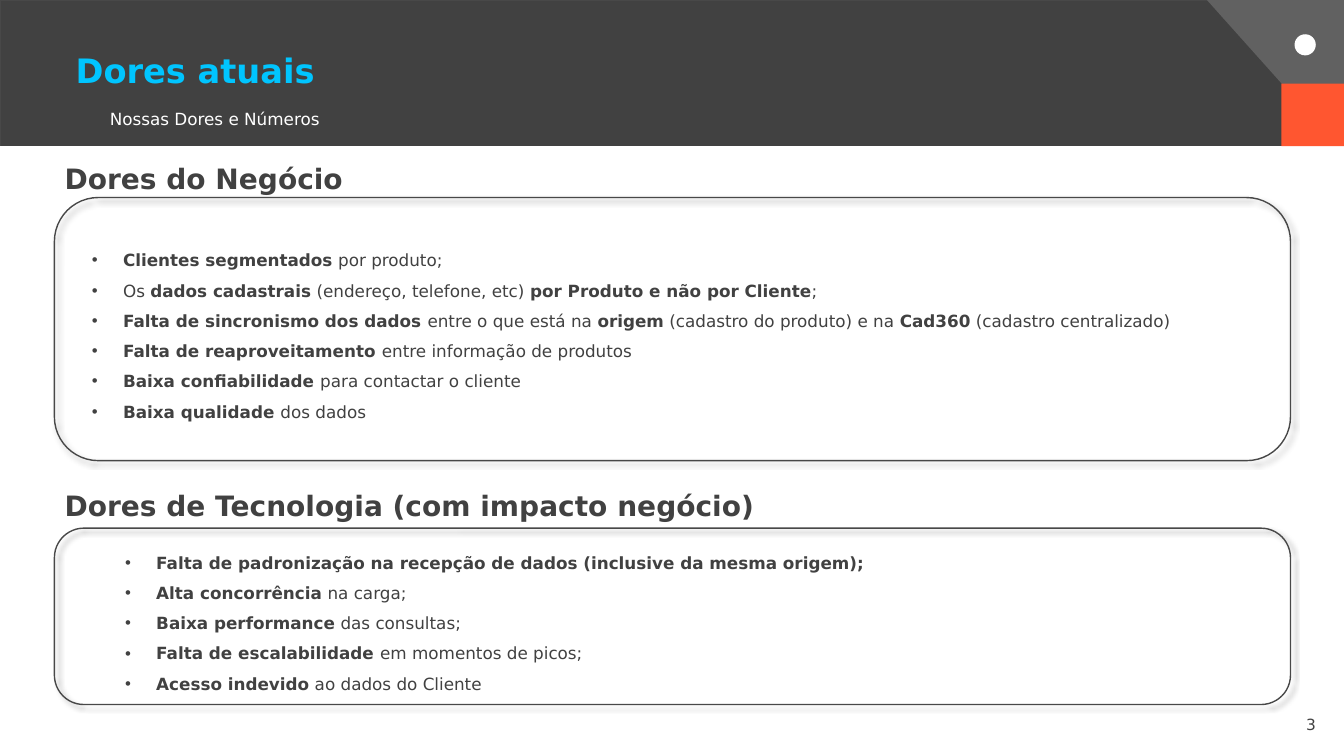
from dataclasses import dataclass

from lxml import etree
from pptx import Presentation
from pptx import util as u
from pptx.dml.color import RGBColor
from pptx.enum import shapes, text
from pptx.oxml.ns import qn

WIDTH, HEIGHT = u.Inches(13.33), u.Inches(7.5)
FONT = "DejaVu Sans"
DARK, EDGE, GREY = "414141", "484848", "616161"
WHITE, ORANGE, CYAN = "FFFFFF", "FF5630", "00C5FF"


@dataclass(frozen=True)
class Area:
    """Left and width in % of slide width, top and height in % of slide height."""
    left: float
    top: float
    width: float
    height: float

    def format(self) -> dict:
        return dict(left=across(self.left), top=down(self.top),
                    width=across(self.width), height=down(self.height))


@dataclass(frozen=True)
class Style:
    size: float
    color: str = DARK
    bold: bool = False
    align: text.PP_ALIGN = text.PP_ALIGN.LEFT
    anchor: text.MSO_ANCHOR = text.MSO_ANCHOR.TOP
    spacing: float = 1.0
    wrap: bool = True
    indent: float = 0  # inches; above zero means a bulleted list
    level: int = 0


@dataclass(frozen=True)
class Section:
    heading: str
    heading_area: Area
    panel: Area
    list_area: Area
    list_style: Style
    items: tuple[str, ...]  # ** switches bold on and off


SECTIONS = (
    Section("Dores do Negócio", Area(4.05, 20.67, 22.28, 5.87),
            Area(4.05, 26.13, 91.97, 34.8), Area(6.08, 31.07, 83.8, 25.07),
            Style(12, spacing=1.5, indent=0.31), (
                "**Clientes segmentados** por produto;",
                "Os **dados cadastrais** (endereço, telefone, etc) "
                "**por Produto e não por Cliente**;",
                "**Falta de sincronismo dos dados **entre o que está na **origem** "
                "(cadastro do produto) e na **Cad360** (cadastro centralizado)",
                "**Falta de reaproveitamento **entre informação de produtos",
                "**Baixa confiabilidade **para contactar o cliente",
                "**Baixa qualidade **dos dados")),
    Section("Dores de Tecnologia (com impacto negócio)", Area(4.05, 64, 53.56, 5.87),
            Area(4.05, 69.87, 91.97, 23.33), Area(4.8, 71.07, 84.85, 20.8),
            Style(12, spacing=1.5, indent=0.81, level=1), (
                "**Falta de padronização na recepção de dados "
                "(inclusive da mesma origem);**",
                "**Alta concorrência** na carga;",
                "**Baixa performance** das consultas;",
                "**Falta de escalabilidade **em momentos de picos;",
                "**Acesso indevido** ao dados do Cliente")),
)
HEADING = Style(20, bold=True, wrap=False)


def across(share: float) -> int:
    return round(WIDTH * share / 100)


def down(share: float) -> int:
    return round(HEIGHT * share / 100)


def color(value: str) -> RGBColor:
    return RGBColor.from_string(value)


def apply(target, values: dict) -> None:
    for name, value in values.items():
        setattr(target, name, value)


def paint(shape, fill: str | None, line: str | None = None) -> None:
    shape.shadow.inherit = False
    if fill:
        shape.fill.solid()
        shape.fill.fore_color.rgb = color(fill)
    else:
        shape.fill.background()
    if line:
        shape.line.color.rgb = color(line)
        shape.line.width = u.Pt(1)
    else:
        shape.line.fill.background()


def add_block(page, kind, area: Area, fill: str | None, line: str | None = None):
    block = page.shapes.add_shape(kind, **area.format())
    paint(block, fill, line)
    return block


def add_shadow(shape) -> None:
    effects = shape._element.spPr.find(qn("a:effectLst"))
    shadow = etree.SubElement(effects, qn("a:outerShdw"), blurRad=str(u.Pt(4)),
                              dist=str(u.Pt(3)), dir=str(45 * 60000), algn="tl", rotWithShape="0")
    black = etree.SubElement(shadow, qn("a:srgbClr"), val="000000")
    etree.SubElement(black, qn("a:alpha"), val="40000")


def add_bullet(para, indent: float) -> None:
    settings = para._p.get_or_add_pPr()
    settings.set("marL", str(u.Inches(indent)))
    settings.set("indent", str(-u.Inches(0.31)))
    etree.SubElement(settings, qn("a:buFont"), typeface="Arial")
    etree.SubElement(settings, qn("a:buChar"), char="•")


def write(box, area: Area, lines: tuple[str, ...], style: Style) -> None:
    apply(box, area.format())
    frame = box.text_frame
    apply(frame, dict(auto_size=text.MSO_AUTO_SIZE.NONE, word_wrap=style.wrap,
                      vertical_anchor=style.anchor))
    for number, line in enumerate(lines):
        para = frame.add_paragraph() if number else frame.paragraphs[0]
        apply(para, dict(alignment=style.align, line_spacing=style.spacing,
                         space_before=u.Pt(0), level=style.level))
        if style.indent:
            add_bullet(para, style.indent)
        for part, words in enumerate(line.split("**")):
            if words:
                span = para.add_run()
                span.text = words
                apply(span.font, dict(name=FONT, size=u.Pt(style.size),
                                      bold=style.bold or part % 2 == 1))
                span.font.color.rgb = color(style.color)


def add_text(page, area: Area, words: str, style: Style) -> None:
    write(page.shapes.add_textbox(**area.format()), area, (words,), style)


def draw_backdrop(page) -> None:
    rectangle = shapes.MSO_SHAPE.RECTANGLE
    # Dark header band above the white body
    add_block(page, rectangle, Area(0, 0, 100, 100), DARK, EDGE)
    add_block(page, rectangle, Area(0, 19.33, 100, 80.67), WHITE)
    # Corner wedge, orange square and plain emblem
    corners = [(across(x), down(y)) for x, y in
               ((89.8, 0), (100, 0), (100, 15.2), (98.72, 17.73))]
    outline = page.shapes.build_freeform(*corners[0])
    outline.add_line_segments(corners[1:], close=True)
    paint(outline.convert_to_shape(), GREY)
    add_block(page, rectangle, Area(95.35, 11.07, 4.65, 8.27), ORANGE)
    add_block(page, shapes.MSO_SHAPE.OVAL, Area(96.32, 4.53, 1.58, 2.8), WHITE)


def main() -> None:
    deck = Presentation()
    apply(deck, dict(slide_width=WIDTH, slide_height=HEIGHT))
    page = deck.slides.add_slide(deck.slide_layouts.get_by_name("Comparison"))
    title, *bodies = page.placeholders

    draw_backdrop(page)
    for section in SECTIONS:
        panel = add_block(page, shapes.MSO_SHAPE.ROUNDED_RECTANGLE, section.panel, None, EDGE)
        add_shadow(panel)

    # Bring the placeholders in front of the backdrop
    for holder in (title, *bodies):
        page.shapes._spTree.append(holder._element)

    # Title, subtitle and page number
    middle = text.MSO_ANCHOR.MIDDLE
    write(title, Area(4.88, 6.8, 90, 5.73), ("Dores atuais",),
          Style(24, CYAN, bold=True, anchor=middle, spacing=0.9))
    add_text(page, Area(7.43, 14, 50.5, 3.73), "Nossas Dores e Números",
             Style(12, WHITE, anchor=middle, spacing=0.9))
    add_text(page, Area(94.67, 94, 3.98, 3.87), "3", Style(11, align=text.PP_ALIGN.RIGHT))

    # Headings and lists
    for section, heading, body in zip(SECTIONS, bodies[::2], bodies[1::2]):
        write(heading, section.heading_area, (section.heading,), HEADING)
        write(body, section.list_area, section.items, section.list_style)

    deck.save("out.pptx")


if __name__ == "__main__":
    main()
